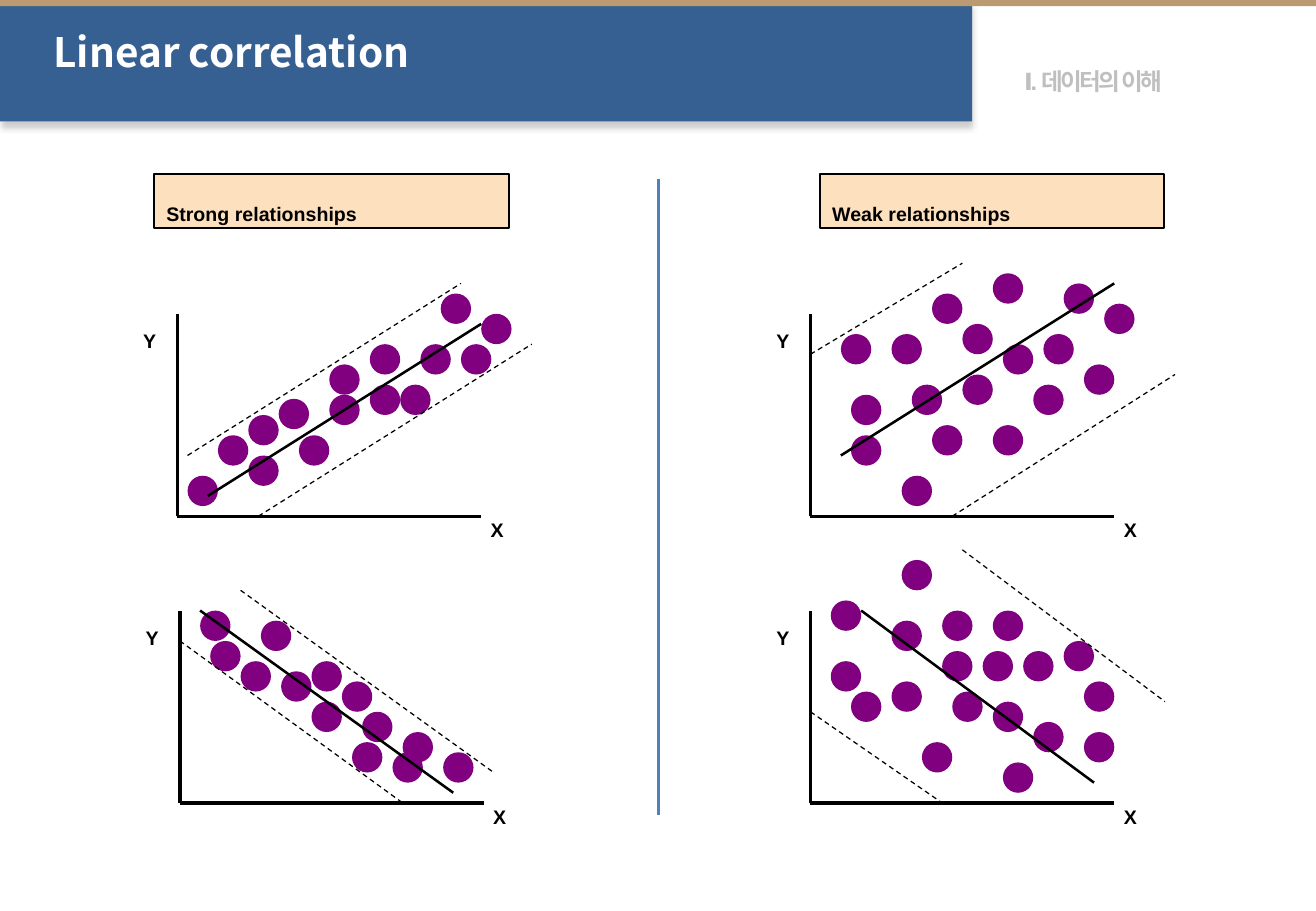
from pptx import Presentation
from pptx.dml.color import RGBColor
from pptx.enum import dml, shapes, text
from pptx.oxml import parse_xml
from pptx.oxml.ns import nsdecls, qn
from pptx.util import Inches, Pt

# Content
TITLE = "Linear correlation"
CHAPTER = "Ⅰ. 데이터의 이해"
HEADS = [("Strong relationships", 1.27, 2.92), ("Weak relationships", 6.75, 2.83)]
BAND = [(0, 0), (10.83, 0), (10.83, .42), (8.37, .42), (8.08, .84), (0, .84)]

# Plots: origin in inches; the rest in grid steps right of and above it.
# Dots are given by their top left corner.
PLOTS = [
    dict(origin=(1.46, 4.25), high=20,
         dots=[(1, 4), (4, 8), (26, 22), (28, 17), (7, 6), (30, 20), (19, 13),
               (19, 17), (24, 17), (15, 15), (7, 10), (10, 11.6), (22, 13),
               (15, 12), (12, 8)],
         edges=[(1, 6, 28, 23), (8, 0, 35, 17)], fit=(3, 2, 30, 19)),
    dict(origin=(1.48, 6.61), high=19,
         dots=[(21, 5), (3, 16), (26, 5), (8, 18), (18, 9), (22, 7), (13, 14),
               (2, 19), (6, 14), (10, 13), (17, 6), (16, 12), (13, 10)],
         edges=[(6, 21, 31, 3), (0, 16, 22, 0)], fit=(2, 19, 27, 1)),
    dict(origin=(6.67, 4.25), high=20,
         dots=[(15, 19), (4, 8), (18, 9), (23, 18), (8, 18), (9, 4), (12, 9),
               (19, 17), (12, 22), (4, 12), (3, 18), (10, 13), (22, 13),
               (15, 14), (18, 24), (29, 21), (27, 15), (25, 23)],
         edges=[(0, 16, 15, 25), (14, 0, 36, 14)], fit=(3, 6, 30, 23)),
    dict(origin=(6.67, 6.61), high=19,
         dots=[(2, 14), (2, 20), (8, 12), (19, 4), (4, 11), (13, 19), (18, 10),
               (17, 15), (13, 15), (8, 18), (21, 15), (14, 11), (11, 6),
               (22, 8), (27, 12), (25, 16), (27, 7), (18, 19), (9, 24)],
         edges=[(15, 25, 35, 10), (0, 9, 13, 0)], fit=(5, 19, 28, 2)),
]
STEP = 1 / 12
WIDE = 30
DOT = .25

THEME = dict(band="376092", trim="BB9A71", gray="BFBFBF", box="FDE0BD",
             ink="000000", rule="4F81BD", dot="800080", white="FFFFFF",
             font="Arial", head="Noto Sans CJK KR", title=24, label=20, small=14)


def rgb(name):
    return RGBColor.from_string(THEME[name])


def paint(shape, fill, line=None):
    shape.shadow.inherit = False
    shape.fill.solid()
    shape.fill.fore_color.rgb = rgb(fill)
    if line:
        shape.line.color.rgb = rgb(line)
        shape.line.width = Pt(1)
    else:
        shape.line.fill.background()


def block(home, kind, x, y, w, h, fill, line=None):
    shape = home.add_shape(kind, *map(Inches, (x, y, w, h)))
    paint(shape, fill, line)
    return shape


def write(shape, words, size, color, face="font", low=False):
    frame = shape.text_frame
    frame.text = words
    para = frame.paragraphs[0]
    para.alignment = text.PP_ALIGN.LEFT
    run = para.runs[0]
    font = run.font
    font.name, font.size, font.bold = THEME[face], Pt(THEME[size]), True
    font.color.rgb = rgb(color)
    if low:  # subscript
        font._element.set("baseline", "-25000")
    return run


def note(home, words, x, y, w, h, wrap, *style, **more):
    box = home.add_textbox(*map(Inches, (x, y, w, h)))
    box.text_frame.word_wrap = wrap
    return write(box, words, *style, **more)


def stroke(home, ends, color, width, dash=False):
    line = home.add_connector(shapes.MSO_CONNECTOR.STRAIGHT, *map(Inches, ends))
    line.line.color.rgb = rgb(color)
    line.line.width = Pt(width)
    if dash:
        line.line.dash_style = dml.MSO_LINE.DASH
    line._element.spPr.append(parse_xml(f"<a:effectLst {nsdecls('a')}/>"))


def plot(home, origin, high, dots, edges, fit):
    left, base = origin

    def spot(x, y):
        return left + x * STEP, base - y * STEP

    def draw(ends, width, dash=False):
        stroke(home, spot(*ends[:2]) + spot(*ends[2:]), "ink", width, dash)

    draw((0, 0, 0, high), 2)
    draw((0, 0, WIDE, 0), 2)
    for dot in dots:
        block(home, shapes.MSO_SHAPE.OVAL, *spot(*dot), DOT, DOT, "dot")
    for edge in edges:
        draw(edge, .75, True)
    draw(fit, 1.5)
    top = base - high * STEP
    for name, x, y in [("Y", left - .38, top - .11), ("X", left + 2.48, base - .22)]:
        note(home, name, x, y, .39, .43, False, "label", "ink", low=True)


def main():
    deck = Presentation()
    deck.slide_width, deck.slide_height = Inches(10.83), Inches(7.5)
    slide = deck.slides.add_slide(deck.slide_layouts[5])
    home = slide.shapes
    rect = shapes.MSO_SHAPE.RECTANGLE

    # Header band with its soft shadow
    pen = home.build_freeform(0, 0, scale=Inches(1))
    pen.add_line_segments(BAND[1:], close=True)
    band = pen.convert_to_shape()
    paint(band, "band")
    band._element.spPr.find(qn("a:effectLst")).append(parse_xml(
        f'<a:outerShdw {nsdecls("a")} blurRad="{Pt(4)}" dist="{Pt(3)}" dir="5400000">'
        '<a:srgbClr val="808080"><a:alpha val="40000"/></a:srgbClr></a:outerShdw>'))
    block(home, rect, 0, 0, 10.83, .05, "trim")
    run = note(home, CHAPTER, 8.33, .5, 2.52, .34, True, "small", "gray")
    run.font._element.set("spc", "-150")

    # Title, in front of the band
    title = home.title
    title.left, title.top, title.width, title.height = map(
        Inches, (.34, .24, 8.31, .44))
    write(title, TITLE, "title", "white", "head")
    title.text_frame.vertical_anchor = text.MSO_ANCHOR.MIDDLE
    title.text_frame.paragraphs[0].line_spacing = .8
    home._spTree.append(title._element)

    # Column heads and divider
    for words, x, wide in HEADS:
        box = block(home, rect, x, 1.43, wide, .45, "box", "ink")
        box.text_frame.vertical_anchor = text.MSO_ANCHOR.TOP
        write(box, words, "label", "ink", low=True)
    stroke(home, (5.42, 1.47, 5.42, 6.71), "rule", 2.25)

    # Scatter plots
    for item in PLOTS:
        plot(home.add_group_shape().shapes, **item)

    deck.save("out.pptx")


if __name__ == "__main__":
    main()
